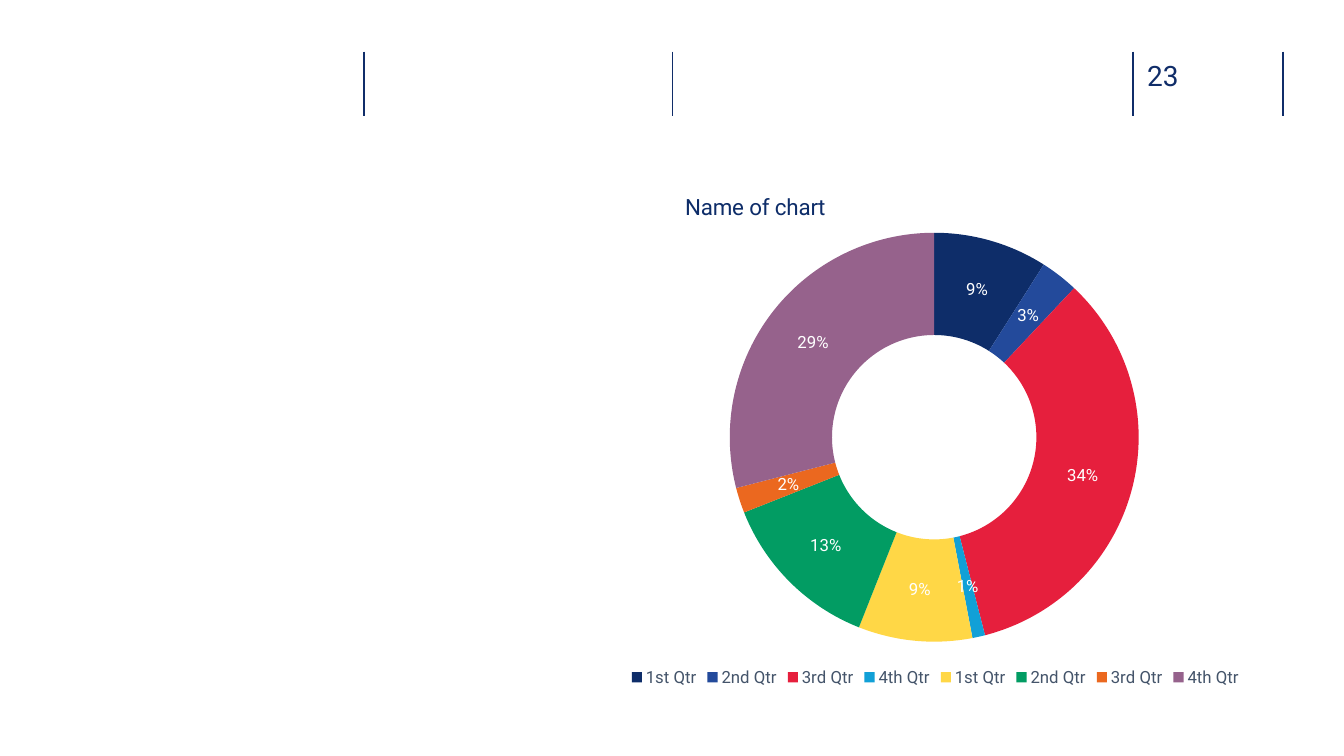
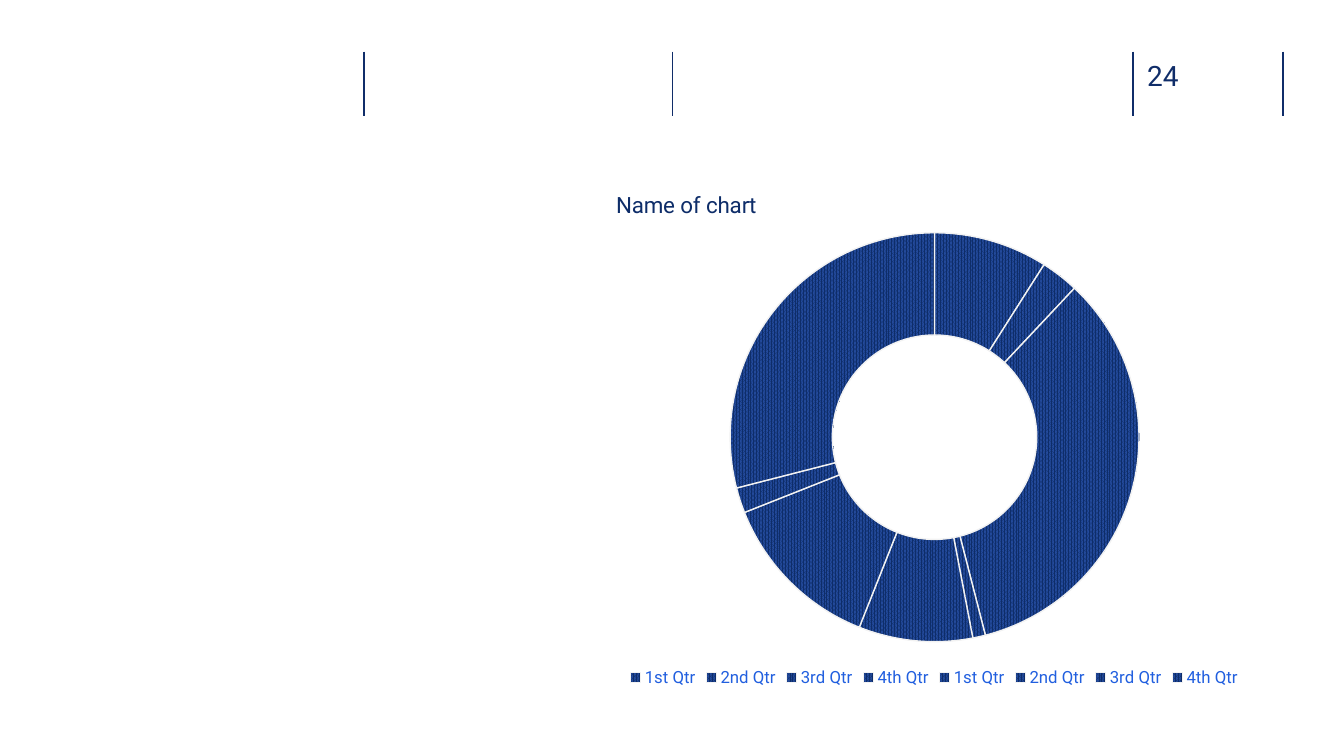
"""Build two slides with a doughnut chart under a ruled header."""
import pptx
import pptx.chart.data
import pptx.dml.color
import pptx.enum.chart
import pptx.enum.dml
import pptx.enum.shapes
import pptx.oxml
import pptx.oxml.ns
import pptx.util
from pptx.util import Cm

FONT = "Roboto"
COLORS = {
    "header": "102D69", "navy": "0E2D69", "blue": "234A9B", "red": "E61F3D",
    "sky": "11A0D7", "yellow": "FFD746", "green": "029C63", "orange": "EB681F",
    "mauve": "96628C", "white": "FFFFFF", "border": "F2F2F2",
    "slate": "44546A", "link": "215FDF", "chart": "0F2C68",
}
SLICES = ["navy", "blue", "red", "sky", "yellow", "green", "orange", "mauve"]
QUARTERS = ["1st Qtr", "2nd Qtr", "3rd Qtr", "4th Qtr"] * 2
VALUES = [9, 3, 34, 1, 9, 13, 2, 29]
DIVIDERS = [9.17, 16.94, 28.55, 32.33]
RING = (18.39, 5.87, 10.31, 10.31)


def rgb(name):
    """Return a named colour."""
    return pptx.dml.color.RGBColor.from_string(COLORS[name])


def format_font(font, size, color):
    """Set the typeface, size and colour of a font."""
    font.name, font.size, font.bold = FONT, pptx.util.Pt(size), False
    font.color.rgb = rgb(color)


def set_text(tf, text, size=16, color="navy"):
    """Write one formatted run into a text frame."""
    r = tf.paragraphs[0].add_run()
    r.text = text
    format_font(r.font, size, color)


def add_divider(s, x):
    """Draw a vertical header rule."""
    line = s.shapes.add_connector(
        pptx.enum.shapes.MSO_CONNECTOR.STRAIGHT, Cm(x), Cm(1.3), Cm(x), Cm(2.92))
    line.line.color.rgb = rgb("header")
    line.line.width = pptx.util.Pt(1)
    pptx.oxml.ns.qn("a:effectLst")
    line._element.spPr.append(pptx.oxml.parse_xml(
        f"<a:effectLst {pptx.oxml.ns.nsdecls('a')}/>"))


def add_header(s, number):
    """Draw the header rules and the page number."""
    for x in DIVIDERS:
        add_divider(s, x)
    tf = s.shapes.add_textbox(Cm(28.91), Cm(1.47), Cm(1.85), Cm(0.86)).text_frame
    tf.word_wrap = True
    tf.margin_left = tf.margin_right = tf.margin_top = tf.margin_bottom = 0
    set_text(tf, str(number), size=20, color="header")


def set_layout(parent, index, target="", **fractions):
    """Give a chart element a manual layout in fractions of the chart."""
    for old in parent.xpath("c:layout"):
        parent.remove(old)
    modes = "".join(f'<c:{k}Mode val="edge"/>' for k in "xy")
    sizes = "".join(f'<c:{k} val="{v:.3f}"/>' for k, v in fractions.items())
    parent.insert(index, pptx.oxml.parse_xml(
        f"<c:layout {pptx.oxml.ns.nsdecls('c')}><c:manualLayout>"
        f"{target}{modes}{sizes}</c:manualLayout></c:layout>"))


def add_doughnut(s, left, width, title_at, hole, legend_color):
    """Add the titled doughnut chart and return it."""
    top, height = 4.14, 13.28
    data = pptx.chart.data.CategoryChartData()
    data.categories = QUARTERS
    data.add_series("Series 1", VALUES)
    chart = s.shapes.add_chart(
        pptx.enum.chart.XL_CHART_TYPE.DOUGHNUT,
        Cm(left), Cm(top), Cm(width), Cm(height), data).chart
    format_font(chart.font, 10, "chart")
    set_text(chart.chart_title.text_frame, "Name of chart")
    chart.has_legend = True
    chart.legend.position = pptx.enum.chart.XL_LEGEND_POSITION.BOTTOM
    chart.legend.include_in_layout = False
    format_font(chart.legend.font, 12, legend_color)
    chart.plots[0].vary_by_categories = True
    chart.plots[0].has_data_labels = False
    root = chart.element
    root.xpath(".//c:holeSize")[0].set("val", str(hole))
    x, y = title_at
    set_layout(root.xpath(".//c:title")[0], 1,
               x=(x - left) / width, y=(y - top) / height)
    x, y, w, h = RING
    set_layout(root.xpath(".//c:plotArea")[0], 0, '<c:layoutTarget val="inner"/>',
               x=(x - left) / width, y=(y - top) / height,
               w=w / width, h=h / height)
    return chart


def color_slices(chart):
    """Fill each slice with its own colour and label it in percent."""
    plot = chart.plots[0]
    for i, color in enumerate(SLICES):
        fmt = plot.series[0].points[i].format
        fmt.fill.solid()
        fmt.fill.fore_color.rgb = rgb(color)
        fmt.line.fill.background()
    plot.has_data_labels = True
    labels = plot.data_labels
    labels.show_value, labels.show_percentage = False, True
    labels.number_format, labels.number_format_is_linked = "0%", False
    format_font(labels.font, 12, "white")


def pattern_slices(chart):
    """Fill every slice with the same pattern and a light border."""
    for i in range(len(VALUES)):
        fmt = chart.plots[0].series[0].points[i].format
        fmt.fill.patterned()
        fmt.fill.pattern = pptx.enum.dml.MSO_PATTERN.PERCENT_80
        fmt.fill.fore_color.rgb = rgb("navy")
        fmt.fill.back_color.rgb = rgb("blue")
        fmt.line.color.rgb = rgb("border")
        fmt.line.width = pptx.util.Pt(1)


def main():
    """Build and save the slides."""
    prs = pptx.Presentation()
    prs.slide_width, prs.slide_height = Cm(33.87), Cm(19.05)
    slides = [
        (23, color_slices, (14.96, 17.22, (17.17, 4.75), 47, "slate")),
        (24, pattern_slices, (14.91, 17.27, (15.42, 4.7), 42, "link")),
    ]
    for number, fill_slices, options in slides:
        s = prs.slides.add_slide(prs.slide_layouts[6])
        add_header(s, number)
        fill_slices(add_doughnut(s, *options))
    prs.save("out.pptx")


if __name__ == "__main__":
    main()
